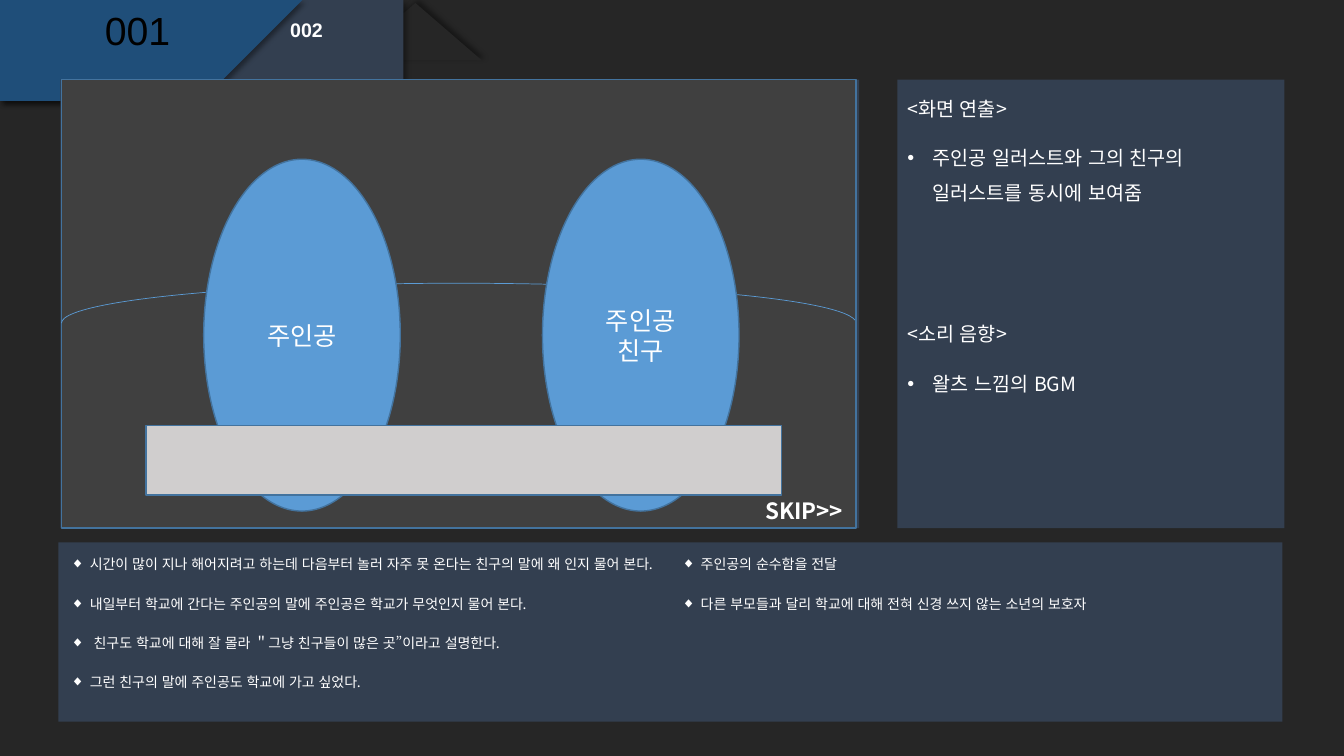
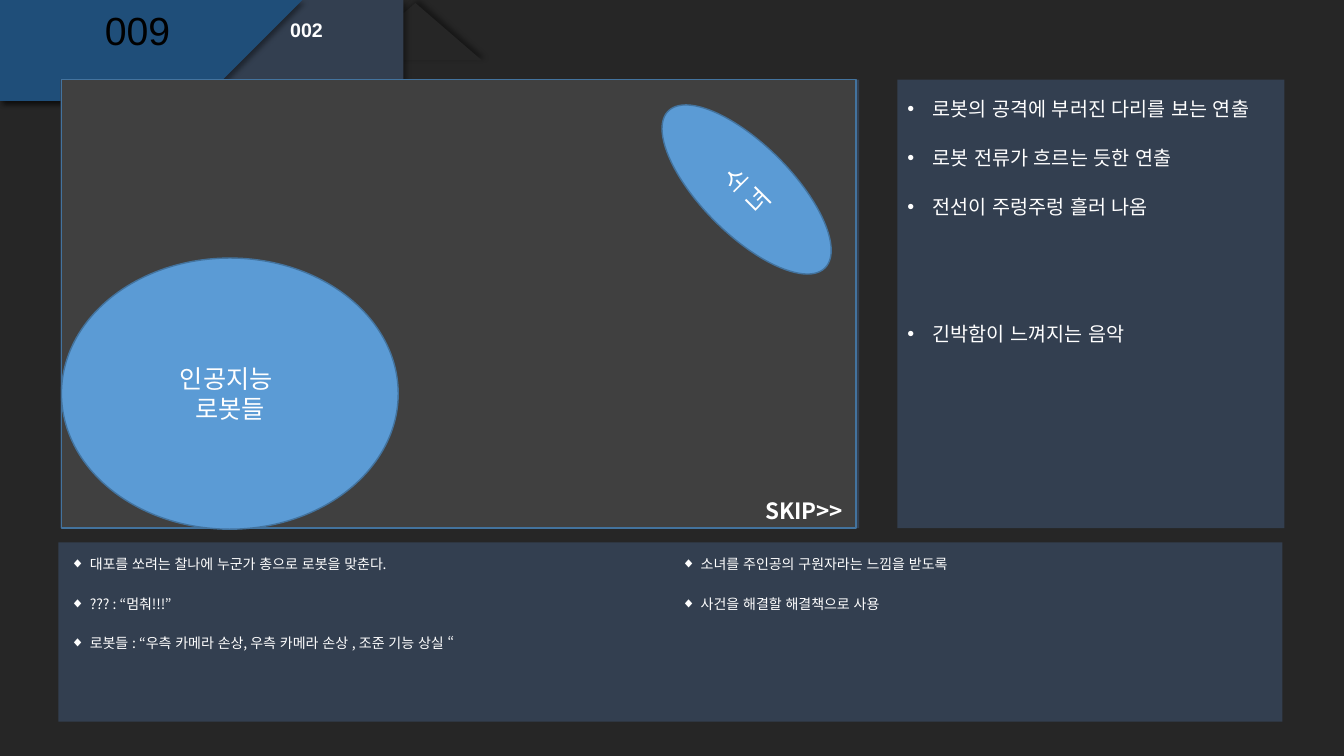
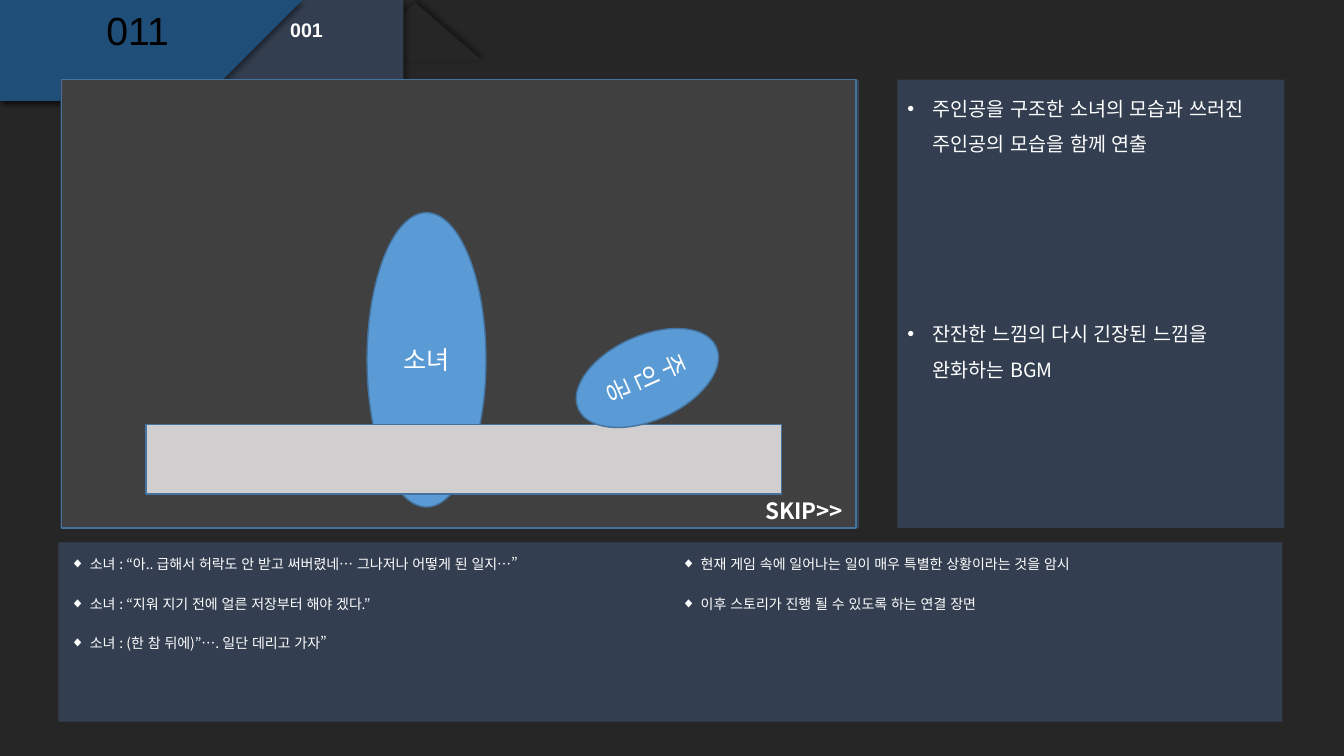
from lxml.etree import SubElement
from pptx import Presentation
from pptx.dml.color import RGBColor
from pptx.enum.lang import MSO_LANGUAGE_ID as Lang
from pptx.enum.shapes import MSO_SHAPE as Kind
from pptx.enum.text import MSO_ANCHOR as Anchor, MSO_AUTO_SIZE as Fit, PP_ALIGN as Align
from pptx.oxml.ns import qn
from pptx.util import Inches, Pt

# Shared style
FONT = "Noto Sans CJK KR"
BACK, PANEL, TAB, SCREEN = "262626", "333F50", "1F4E79", "404040"
BLUE, EDGE, BAR, WHITE, BLACK = "5B9BD5", "43739E", "D0CECE", "FFFFFF", "000000"

# Shared grid: left, top, width, height in inches
TOP, TALL, LOW, DEEP = 0.79, 4.45, 5.38, 1.78
VIEW = (0.61, TOP, 7.88, TALL)
PANELS = [(0.6, TOP, 7.92, TALL), (8.9, TOP, 3.84, TALL), (0.58, LOW, 12.14, DEEP)]
TITLE = (0.61, 0.06, 1.51, 0.53)
HALF = 6.06
BOXES = {  # placeholder number: place, bullet, indent, size
    1: ((8.9, TOP, 3.84, 2.21), "•", 0.25, 14),
    2: ((8.9, 3.03, 3.84, 2.21), "•", 0.25, 14),
    3: ((0.6, LOW, HALF, DEEP), "◆", 0.19, 10),
    4: ((0.6 + HALF, LOW, HALF, DEEP), "◆", 0.19, 10),
}
TABS = [
    (PANEL, [(0.05, 0), (4.12, 0), (3.64, 0.57), (0.9, 0.56), (0.05, 0.56)]),
    (TAB, [(0, 0), (2.73, 0), (2.41, 0.57), (0.57, 0.56), (0, 0.56)]),
]

# Content: art items are kind, place, lines of text, rotation
SLIDES = [
    {
        "title": "001", "part": "002",
        "lists": [
            ["<화면 연출>", "주인공 일러스트와 그의 친구의 일러스트를 동시에 보여줌"],
            ["<소리 음향>", "왈츠 느낌의 BGM"],
            ["시간이 많이 지나 해어지려고 하는데 다음부터 놀러 자주 못 온다는 친구의 말에 왜 인지 물어 본다.",
             "내일부터 학교에 간다는 주인공의 말에 주인공은 학교가 무엇인지 물어 본다.",
             " 친구도 학교에 대해 잘 몰라 ＂그냥 친구들이 많은 곳”이라고 설명한다.",
             "그런 친구의 말에 주인공도 학교에 가고 싶었다."],
            ["주인공의 순수함을 전달",
             "다른 부모들과 달리 학교에 대해 전혀 신경 쓰지 않는 소년의 보호자"],
        ],
        "art": [
            ("arc", (0.61, 2.81, 7.88, 0.79), [], 0),
            ("oval", (2.02, 1.58, 1.95, 3.49), ["주인공"], 0),
            ("oval", (5.38, 1.58, 1.95, 3.49), ["주인공\v친구"], 0),
            ("bar", (1.45, 4.22, 6.3, 0.69), [], 0),
        ],
    },
    {
        "title": "009", "part": "002",
        "lists": [
            ["로봇의 공격에 부러진 다리를 보는 연출", "로봇 전류가 흐르는 듯한 연출",
             "전선이 주렁주렁 흘러 나옴"],
            ["긴박함이 느껴지는 음악"],
            ["대포를 쏘려는 찰나에 누군가 총으로 로봇을 맞춘다.", "??? : “멈춰!!!”",
             "로봇들 : “우측 카메라 손상, 우측 카메라 손상 , 조준 기능 상실 “"],
            ["소녀를 주인공의 구원자라는 느낌을 받도록", "사건을 해결할 해결책으로 사용"],
        ],
        "art": [
            ("oval", (6.96, 0.78, 0.89, 2.2), ["소녀"], 315),
            ("oval", (0.61, 2.56, 3.34, 2.69), ["인공지능 ", "로봇들"], 0),
        ],
    },
    {
        "title": "011", "part": "001",
        "lists": [
            ["주인공을 구조한 소녀의 모습과 쓰러진 주인공의 모습을 함께 연출"],
            ["잔잔한 느낌의 다시 긴장된 느낌을 완화하는 BGM"],
            ["소녀 : “아.. 급해서 허락도 안 받고 써버렸네… 그나저나 어떻게 된 일지…”",
             "소녀 : “지워 지기 전에 얼른 저장부터 해야 겠다.”",
             "소녀 : (한 참 뒤에)”…. 일단 데리고 가자”"],
            ["현재 게임 속에 일어나는 일이 매우 특별한 상황이라는 것을 암시",
             "이후 스토리가 진행 될 수 있도록 하는 연결 장면"],
        ],
        "art": [
            ("oval", (3.64, 2.11, 1.18, 2.92), ["소녀"], 0),
            ("bar", (1.45, 4.21, 6.3, 0.69), [], 0),
            ("oval", (6, 3, 0.84, 1.5), ["주인공"], 65.8),
        ],
    },
]


def paint(item, color):
    item.solid()
    item.fore_color.rgb = RGBColor.from_string(color)


def place(shape, box):
    shape.left, shape.top, shape.width, shape.height = map(Inches, box)


def mark(para, sign, gap):
    """Give a paragraph a hanging bullet, or none if sign is empty."""
    props = para._p.get_or_add_pPr()
    props.set("marL", str(Inches(gap) if sign else 0))
    props.set("indent", str(-Inches(gap) if sign else 0))
    if sign:
        SubElement(props, qn("a:buFont"), typeface="Arial")
        SubElement(props, qn("a:buChar"), char=sign)
    else:
        SubElement(props, qn("a:buNone"))


def write(shape, lines, size=18, color=WHITE, font=FONT, bold=False, align=Align.LEFT,
          anchor=Anchor.TOP, space=1.0, before=0, bullet="", gap=0, wrap=True):
    frame = shape.text_frame
    frame.word_wrap, frame.auto_size = wrap, Fit.NONE
    frame.vertical_anchor = anchor
    for i, line in enumerate(lines):
        para = frame.add_paragraph() if i else frame.paragraphs[0]
        para.text = line
        mark(para, "" if line.startswith("<") else bullet, gap)
        para.alignment, para.line_spacing = align, space
        para.space_before = Pt(before if i else 0)
        for run in para.runs:
            face = run.font
            face.size, face.bold, face.name = Pt(size), bold, font
            face.language_id = Lang.KOREAN
            paint(face.fill, color)
            SubElement(run._r.get_or_add_rPr(), qn("a:ea"), typeface=font)


def style(shape, fill=None, line=None, width=1):
    shape.shadow.inherit = False
    if fill:
        paint(shape.fill, fill)
    else:
        shape.fill.background()
    if line:
        paint(shape.line.fill, line)
        shape.line.width = Pt(width)
    else:
        shape.line.fill.background()
    return shape


def draw(slide, kind, box, **look):
    return style(slide.shapes.add_shape(kind, *map(Inches, box)), **look)


def label(slide, box, text, **form):
    write(slide.shapes.add_textbox(*map(Inches, box)), [text], **form)


def shade(shape, angle):
    """Soft outer shadow."""
    effects = shape.element.spPr.find(qn("a:effectLst"))
    outer = SubElement(effects, qn("a:outerShdw"), blurRad=str(Pt(4)), dist=str(Pt(3)),
                       dir=str(angle * 60000), algn="ctr", rotWithShape="0")
    tint = SubElement(outer, qn("a:srgbClr"), val=BLACK)
    SubElement(tint, qn("a:alpha"), val="40000")
    return shape


def frame_layout(layout, slide):
    """Put the tabs, panels and placeholder places on the layout."""
    parts = [shade(draw(slide, Kind.ISOSCELES_TRIANGLE, (3.46, 0.03, 1.32, 0.57), fill=BACK), 315)]
    for color, points in TABS:
        path = slide.shapes.build_freeform(*points[0], scale=Inches(1))
        path.add_line_segments(points[1:], close=True)
        parts.append(shade(style(path.convert_to_shape(), fill=color), 45))
    parts += [draw(slide, Kind.RECTANGLE, box, fill=PANEL) for box in PANELS]
    for part in parts:
        layout.shapes.element.append(part.element)
    for holder in layout.placeholders:
        idx = holder.placeholder_format.idx
        if idx == 0:
            place(holder, TITLE)
        elif idx in BOXES:
            place(holder, BOXES[idx][0])


def draw_art(slide, name, box, lines, turn):
    if name == "arc":
        arc = draw(slide, Kind.ARC, box, line=BLUE, width=0.5)
        arc.adjustments[0], arc.adjustments[1] = 107.99, 215.75
    elif name == "bar":
        draw(slide, Kind.RECTANGLE, box, fill=BAR, line=EDGE)
    else:
        oval = draw(slide, Kind.OVAL, box, fill=BLUE, line=EDGE)
        oval.rotation = turn
        write(oval, lines, align=Align.CENTER, anchor=Anchor.MIDDLE)


def fill_slide(slide, data):
    write(slide.shapes.title, [data["title"]], size=28, color=BLACK, font="Arial",
          align=Align.CENTER, anchor=Anchor.MIDDLE, space=0.9)
    label(slide, (2.78, 0.15, 1, 0.32), data["part"], size=14, font="Arial", bold=True, space=0.9)
    for (idx, (_, sign, gap, size)), lines in zip(BOXES.items(), data["lists"]):
        write(slide.placeholders[idx], lines, size=size, space=1.5, before=10,
              bullet=sign, gap=gap)
    draw(slide, Kind.RECTANGLE, VIEW, fill=SCREEN, line=EDGE)
    label(slide, (7.49, 4.88, 1, 0.37), "SKIP>>", size=16, bold=True, wrap=False)
    for item in data["art"]:
        draw_art(slide, *item)


def main():
    deck = Presentation()
    deck.slide_width, deck.slide_height = Inches(13.33), Inches(7.5)
    paint(deck.slide_master.background.fill, BACK)
    layout = deck.slide_layouts.get_by_name("Comparison")
    slides = [deck.slides.add_slide(layout) for _ in SLIDES]
    frame_layout(layout, slides[0])
    for slide, data in zip(slides, SLIDES):
        fill_slide(slide, data)
    deck.save("out.pptx")


if __name__ == "__main__":
    main()
